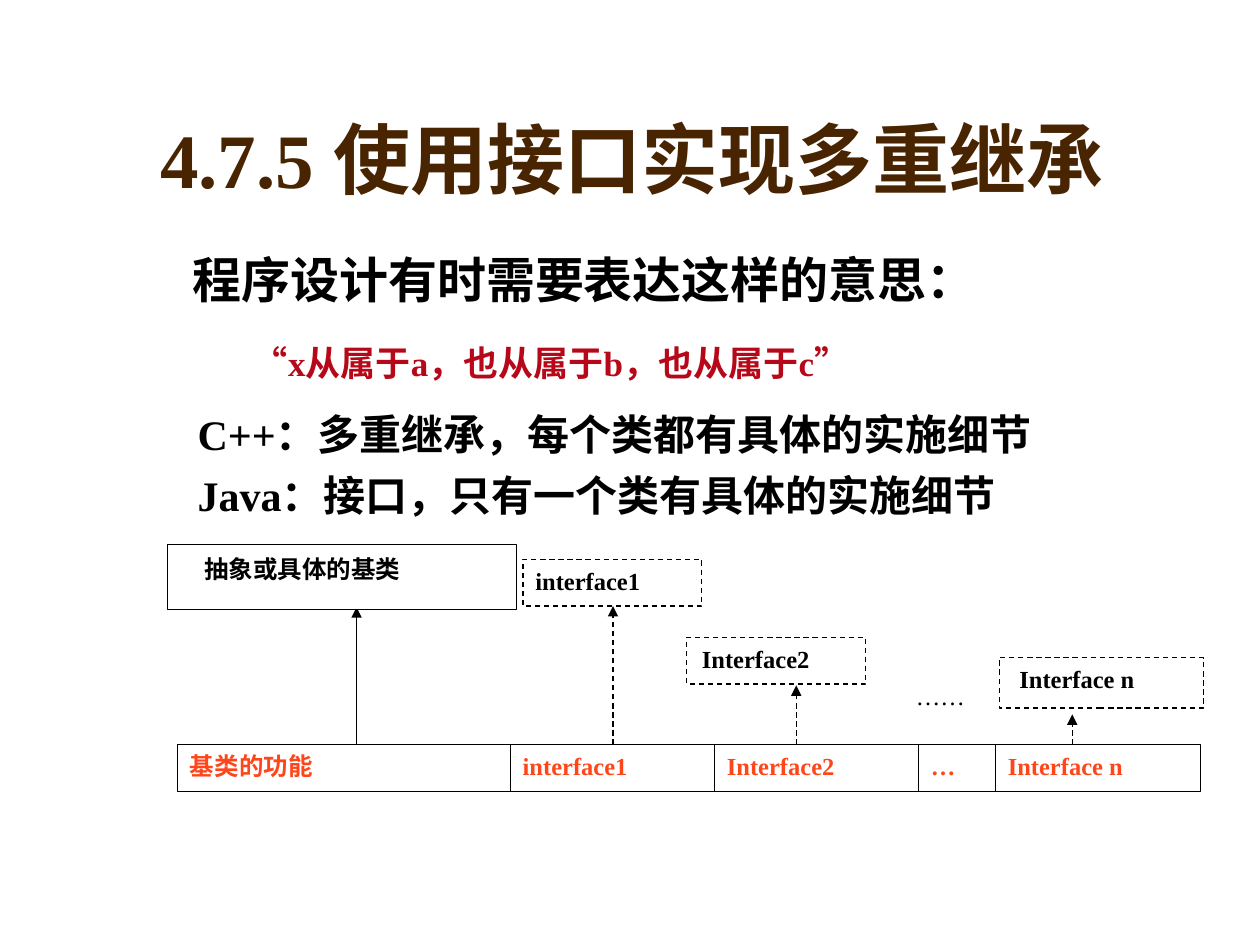
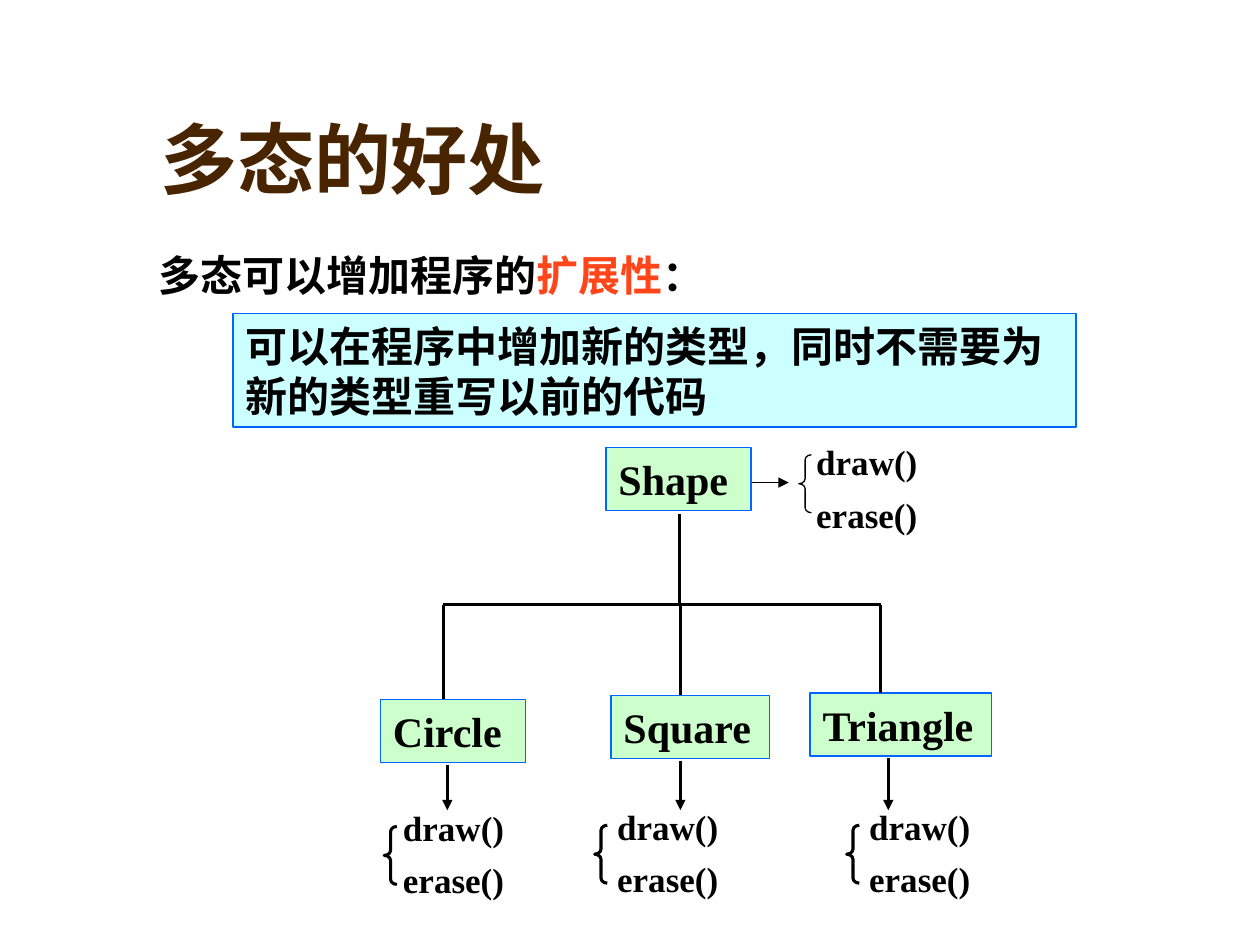
"""Build two slides on interfaces as multiple inheritance and on the benefits of polymorphism."""
from lxml import etree
from pptx import Presentation
from pptx.dml.color import RGBColor
from pptx.enum.dml import MSO_LINE_DASH_STYLE as Dash
from pptx.enum.shapes import MSO_CONNECTOR as Connector, MSO_SHAPE as Shape
from pptx.enum.text import MSO_ANCHOR as Anchor, MSO_AUTO_SIZE as AutoSize, PP_ALIGN as Align
from pptx.oxml.ns import qn
from pptx.util import Inches, Pt

FONT = "Times New Roman"
COLORS = {
    "title": "482400", "text": "000000", "quote": "B60819", "accent": "FF461B",
    "white": "FFFFFF", "blue": "0066FF", "cyan": "CCFFFF", "green": "CCFFCC",
}
RGB = {name: RGBColor.from_string(value) for name, value in COLORS.items()}

presentation = Presentation()
presentation.slide_width, presentation.slide_height = Inches(10), Inches(7.5)
GRID = presentation.slide_width / 100


def add_text_box(slide, area, paragraphs, size, fill=None, line="text", dash=None,
                 inset=(1, 0.5), space=0, anchor=Anchor.TOP):
    """Add a text box, or a rectangle when a fill is given; each paragraph is a list of (text, colour) runs."""
    place = [round(GRID * length) for length in area]
    if fill:
        shape = slide.shapes.add_shape(Shape.RECTANGLE, *place)
        shape.shadow.inherit = False
        shape.fill.solid()
        shape.fill.fore_color.rgb = RGB[fill]
        shape.line.color.rgb = RGB[line]
        shape.line.width = Pt(0.75)
        shape.line.dash_style = dash
    else:
        shape = slide.shapes.add_textbox(*place)
    frame = shape.text_frame
    frame.word_wrap = True
    frame.vertical_anchor = anchor
    frame.margin_left, frame.margin_top = [round(GRID * length) for length in inset]
    for index, runs in enumerate(paragraphs):
        paragraph = frame.add_paragraph() if index else frame.paragraphs[0]
        paragraph.alignment = Align.LEFT
        if index:
            paragraph.space_before = Pt(space)
        for text, color in runs:
            run = paragraph.add_run()
            run.text = text
            run.font.name, run.font.size, run.font.bold = FONT, Pt(size), True
            run.font.color.rgb = RGB[color]
    return shape


def add_line(slide, start, end, width=0.75, dash=None, arrow=False):
    """Add a straight black line between two grid points."""
    points = [round(GRID * length) for length in (*start, *end)]
    connector = slide.shapes.add_connector(Connector.STRAIGHT, *points)
    connector.line.color.rgb = RGB["text"]
    connector.line.width = Pt(width)
    connector.line.dash_style = dash
    if arrow:
        etree.SubElement(connector.line._get_or_add_ln(), qn("a:tailEnd"), type="triangle")
    etree.SubElement(connector._element.spPr, qn("a:effectLst"))


slides = []
for heading in ("4.7.5 使用接口实现多重继承", "多态的好处"):
    slide = presentation.slides.add_slide(presentation.slide_layouts[5])
    title = slide.shapes.title
    title.left, title.top, title.width, title.height = [
        round(GRID * length) for length in (11.7, 4.2, 85, 12.5)]
    title.text_frame.auto_size = AutoSize.NONE
    title.text_frame.vertical_anchor = Anchor.BOTTOM
    paragraph = title.text_frame.paragraphs[0]
    paragraph.alignment = Align.LEFT
    run = paragraph.add_run()
    run.text = heading
    run.font.name, run.font.size, run.font.bold = FONT, Pt(44), True
    run.font.color.rgb = RGB["title"]
    slides.append(slide)
inheritance, polymorphism = slides

intro = add_text_box(inheritance, (11.6, 19.3, 85, 12), [
    [("程序设计有时需要表达这样的意思：", "text")],
    [("“x从属于a，也从属于b，也从属于c”", "quote")],
], 28, space=19)
for paragraph, indent in zip(intro.text_frame.paragraphs, (2.7, 7.5)):
    paragraph._p.get_or_add_pPr().set("marL", str(round(GRID * indent)))
intro.text_frame.paragraphs[1].runs[0].font.size = Pt(20)

add_text_box(inheritance, (14.7, 31.9, 72, 9.9), [
    [("C++：多重继承，每个类都有具体的实施细节", "text")],
    [("Java：接口，只有一个类有具体的实施细节", "text")],
], 24, space=6)

MEMBER_TOP = 59.1
for x, tip, dash in ((28.3, 48.2, None), (48.65, 48.1, Dash.DASH),
                     (63.2, 54.4, Dash.DASH), (85.1, 56.7, Dash.DASH)):
    add_line(inheritance, (x, MEMBER_TOP), (x, tip), dash=dash, arrow=True)

for name, area, dash, inset in (
    ("抽象或具体的基类", (13.3, 43.2, 27.7, 5.2), None, (2.9, 0.8)),
    ("interface1", (41.5, 44.4, 14.2, 3.7), Dash.DASH, (1, 0.5)),
    ("Interface2", (54.5, 50.6, 14.2, 3.7), Dash.DASH, (1.2, 0.5)),
    ("Interface n", (79.3, 52.2, 16.2, 4), Dash.DASH, (1.6, 0.5)),
):
    add_text_box(inheritance, area, [[(name, "text")]], 14, "white", dash=dash, inset=inset)

left = 14.1
for name, width in (("基类的功能", 26.4), ("interface1", 16.2), ("Interface2", 16.2),
                    ("…", 6.1), ("Interface n", 16.3)):
    add_text_box(inheritance, (left, MEMBER_TOP, width, 3.7), [[(name, "accent")]], 14, "white")
    left += width

ellipsis = add_text_box(inheritance, (71.7, 53.6, 8.1, 3.6), [[("……", "text")]], 14)
ellipsis.text_frame.paragraphs[0].runs[0].font.bold = False

add_text_box(polymorphism, (11.6, 19.3, 85, 5), [
    [("多态可以增加程序的", "text"), ("扩展性", "accent"), ("：", "text")]], 24)
add_text_box(polymorphism, (18.5, 24.9, 66.9, 9), [
    [("可以在程序中增加新的类型，同时不需要为新的类型重写以前的代码", "text")]],
    24, "cyan", "blue", anchor=Anchor.MIDDLE)

BRANCH_TOP = 48
for start, end in (((53.95, 40.8), (53.95, BRANCH_TOP)), ((35.2, BRANCH_TOP), (69.9, BRANCH_TOP))):
    add_line(polymorphism, start, end, 1.75)
add_line(polymorphism, (59.4, 38.3), (62.6, 38.3), arrow=True)

for name, left, top, width, stem, arrow_x in (
    ("Shape", 48.1, 35.5, 11.5, None, None),
    ("Circle", 30.2, 55.5, 11.5, 35.2, 35.5),
    ("Square", 48.5, 55.2, 12.6, 54, 54),
    ("Triangle", 64.3, 55, 14.4, 69.9, 70.5),
):
    add_text_box(polymorphism, (left, top, width, 5), [[(name, "text")]], 24, "green", "blue")
    if stem:
        add_line(polymorphism, (stem, BRANCH_TOP), (stem, top), 1.75)
        add_line(polymorphism, (arrow_x, top + 5.2), (arrow_x, 64.3), 1.75, arrow=True)

for brace_left, brace_top, text_left, text_top, weight in (
    (63.4, 36.1, 63.8, 34.5, 0.75),
    (30.5, 65.6, 31, 63.5, 1.75),
    (47.2, 65.5, 48, 63.4, 1.75),
    (67.2, 65.5, 68, 63.4, 1.75),
):
    brace = polymorphism.shapes.add_shape(
        Shape.LEFT_BRACE, *[round(GRID * length) for length in (brace_left, brace_top, 1, 4.6)])
    brace.shadow.inherit = False
    brace.fill.background()
    brace.line.color.rgb = RGB["text"]
    brace.line.width = Pt(weight)
    brace.adjustments[0] = 0.4
    add_text_box(polymorphism, (text_left, text_top, 15, 8.4),
                 [[("draw()", "text")], [("erase()", "text")]], 20, space=6)

presentation.save("out.pptx")
